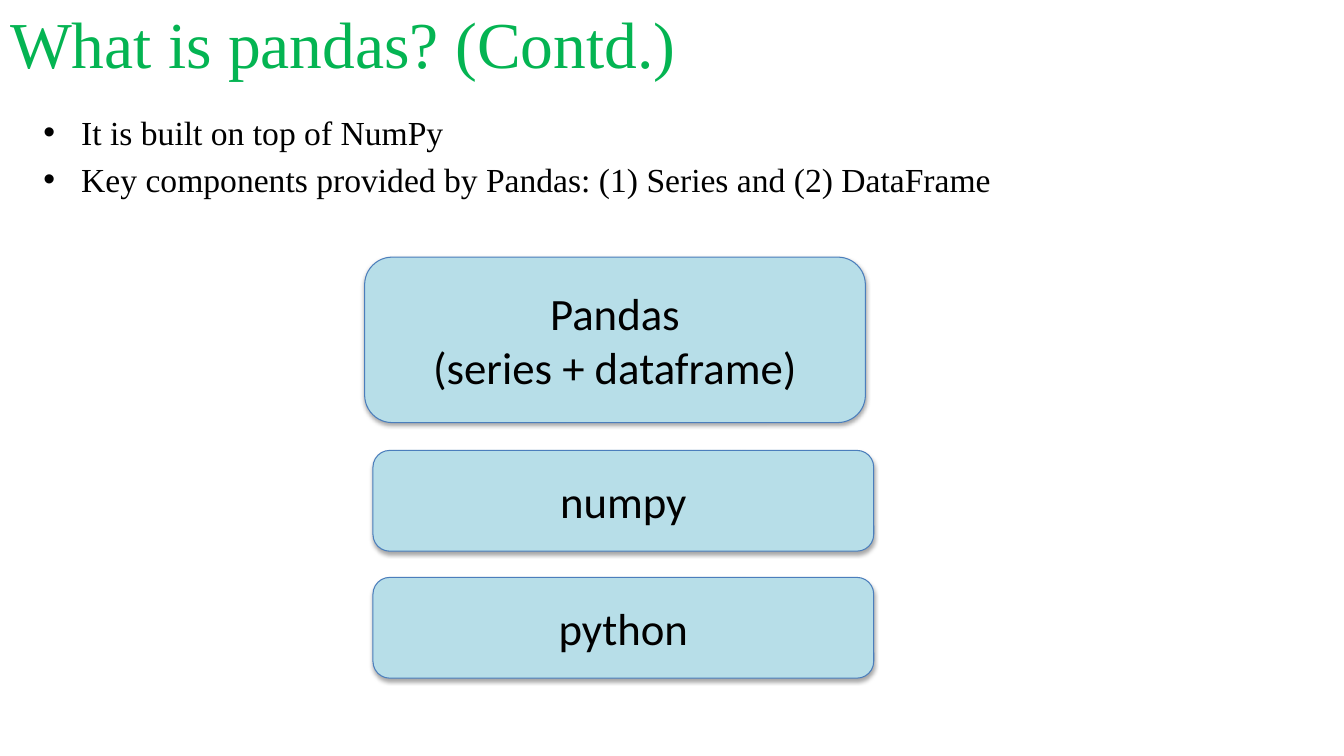
from lxml.etree import SubElement
from pptx import Presentation
from pptx.dml.color import RGBColor
from pptx.enum.shapes import MSO_SHAPE
from pptx.enum.text import MSO_ANCHOR, MSO_AUTO_SIZE, PP_ALIGN
from pptx.oxml.ns import qn
from pptx.util import Cm, Pt

GREEN = RGBColor(0x04, 0xB4, 0x52)
BLACK = RGBColor(0x00, 0x00, 0x00)
LIGHT_BLUE = RGBColor(0xB7, 0xDE, 0xE8)
BORDER_BLUE = RGBColor(0x4B, 0x7E, 0xBC)


def write_text(shape, text, font, size, color=BLACK, align=PP_ALIGN.LEFT, anchor=MSO_ANCHOR.MIDDLE):
    """Fill a shape with one formatted paragraph per line of text."""
    frame = shape.text_frame
    frame.text = text
    frame.word_wrap = True
    frame.auto_size = MSO_AUTO_SIZE.NONE
    frame.vertical_anchor = anchor
    for paragraph in frame.paragraphs:
        paragraph.alignment = align
        for run in paragraph.runs:
            run.font.name = font
            run.font.size = Pt(size)
            run.font.color.rgb = color


class SlideBuilder:
    """Hold the style and the current slide, and add its elements."""

    heading_font = "Times New Roman"
    box_font = "Calibri"

    def __init__(self, slide):
        """Remember the slide to build on."""
        self.slide = slide

    def place(self, shape, left, top, width, height):
        """Move and size a shape, in centimetres."""
        shape.left, shape.top = Cm(left), Cm(top)
        shape.width, shape.height = Cm(width), Cm(height)

    def title(self, text, *position):
        """Write the title placeholder."""
        shape = self.slide.shapes.title
        self.place(shape, *position)
        write_text(shape, text, self.heading_font, 46.8, color=GREEN)

    def bullets(self, items, *position):
        """Write the body placeholder as a bulleted list."""
        shape = self.slide.placeholders[1]
        self.place(shape, *position)
        write_text(shape, "\n".join(items), self.heading_font, 24, anchor=MSO_ANCHOR.TOP)

    def layer(self, text, left, top, width, height):
        """Add a rounded box with a soft shadow for one software layer."""
        shape = self.slide.shapes.add_shape(
            MSO_SHAPE.ROUNDED_RECTANGLE, Cm(left), Cm(top), Cm(width), Cm(height))
        shape.fill.solid()
        shape.fill.fore_color.rgb = LIGHT_BLUE
        shape.line.color.rgb = BORDER_BLUE
        shape.line.width = Pt(0.75)
        self.drop_shadow(shape)
        write_text(shape, text, self.box_font, 32, align=PP_ALIGN.CENTER)

    def drop_shadow(self, shape):
        """Cast a soft black shadow straight down."""
        shape.shadow.inherit = False
        effects = shape._element.spPr.find(qn("a:effectLst"))
        shadow = SubElement(effects, qn("a:outerShdw"), blurRad=str(Pt(3.1)),
                            dist=str(Pt(1.8)), dir="5400000", rotWithShape="0")
        color = SubElement(shadow, qn("a:srgbClr"), val=str(BLACK))
        SubElement(color, qn("a:alpha"), val="35000")


def main():
    """Build the slide and save it."""
    presentation = Presentation()
    presentation.slide_width, presentation.slide_height = Cm(33.87), Cm(19.05)
    builder = SlideBuilder(presentation.slides.add_slide(presentation.slide_layouts[1]))
    builder.title("What is pandas? (Contd.)", 0, 0, 24.92, 2.11)
    builder.bullets(["It is built on top of NumPy",
                     "Key components provided by Pandas: (1) Series and (2) DataFrame"],
                    0.84, 2.69, 30.48, 12.57)
    for text, left, top, height in [("python", 9.4, 14.55, 2.54),
                                    ("numpy", 9.4, 11.35, 2.54),
                                    ("Pandas\n(series + dataframe)", 9.19, 6.48, 4.17)]:
        builder.layer(text, left, top, 12.62, height)
    presentation.save("out.pptx")


if __name__ == "__main__":
    main()
